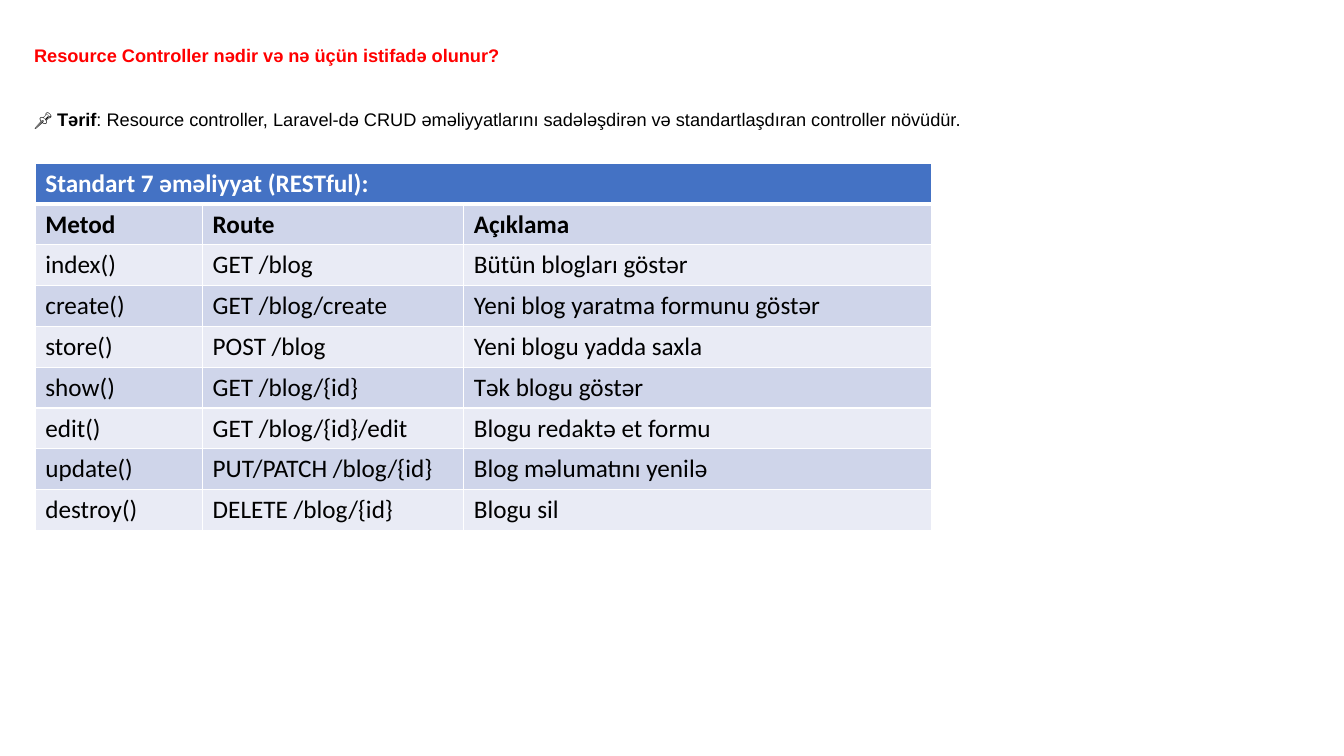
from lxml import etree
from pptx import Presentation
from pptx import util as u
from pptx.dml.color import RGBColor
from pptx.enum import text
from pptx.oxml import ns

RED = RGBColor(0xFF, 0x00, 0x00)
BLACK = RGBColor(0x00, 0x00, 0x00)
WHITE = RGBColor(0xFF, 0xFF, 0xFF)
BLUE = RGBColor(0x44, 0x72, 0xC4)
BAND_DARK = RGBColor(0xCF, 0xD5, 0xEA)
BAND_LIGHT = RGBColor(0xE9, 0xEB, 0xF5)

TITLE = "Resource Controller nədir və nə üçün istifadə olunur?"
DEFINITION = [
    ("📌 ", False),
    ("Tərif", True),
    (": Resource controller, Laravel-də CRUD əməliyyatlarını sadələşdirən "
     "və standartlaşdıran controller növüdür.", False),
]
COLUMNS = [1.66, 2.59, 4.64]
ROWS = [
    ("Standart 7 əməliyyat (RESTful):",),
    ("Metod", "Route", "Açıklama"),
    ("index()", "GET /blog", "Bütün blogları göstər"),
    ("create()", "GET /blog/create", "Yeni blog yaratma formunu göstər"),
    ("store()", "POST /blog", "Yeni blogu yadda saxla"),
    ("show()", "GET /blog/{id}", "Tək blogu göstər"),
    ("edit()", "GET /blog/{id}/edit", "Blogu redaktə et formu"),
    ("update()", "PUT/PATCH /blog/{id}", "Blog məlumatını yenilə"),
    ("destroy()", "DELETE /blog/{id}", "Blogu sil"),
]


def add_run(p, content, font, size, color, bold):
    """Append one formatted run to a paragraph."""
    r = p.add_run()
    r.text = content
    r.font.name, r.font.size, r.font.bold = font, u.Pt(size), bold
    r.font.color.rgb = color


def add_intro(s, left, top, width, height):
    """Place the red question and the definition below it."""
    sp = s.shapes.add_textbox(*map(u.Inches, (left, top, width, height)))
    tf = sp.text_frame
    tf.word_wrap = True
    p = tf.paragraphs[0]
    p.line_spacing = 1.5
    add_run(p, TITLE, "Arial", 13, RED, True)
    p = tf.add_paragraph()
    p.line_spacing = 1.5
    p.space_before = u.Pt(22.4)
    for content, bold in DEFINITION:
        add_run(p, content, "Arial", 13, BLACK, bold)


def set_borders(cell, top, bottom):
    """Give a cell white borders, with top and bottom widths in points."""
    tcPr = cell._tc.get_or_add_tcPr()
    for side, width in (("L", 1), ("R", 1), ("T", top), ("B", bottom)):
        ln = etree.SubElement(tcPr, ns.qn(f"a:ln{side}"), w=str(u.Pt(width)))
        fill = etree.SubElement(ln, ns.qn("a:solidFill"))
        etree.SubElement(fill, ns.qn("a:srgbClr"), val=str(WHITE))


def add_routes(s, left, top, row_height):
    """Place the table of controller methods under a merged header row."""
    frame = s.shapes.add_table(
        len(ROWS), len(COLUMNS), u.Inches(left), u.Inches(top),
        u.Inches(sum(COLUMNS)), u.Inches(row_height * len(ROWS)))
    table = frame.table
    for column, width in zip(table.columns, COLUMNS):
        column.width = u.Inches(width)
    table.cell(0, 0).merge(table.cell(0, len(COLUMNS) - 1))
    for i, values in enumerate(ROWS):
        table.rows[i].height = u.Inches(row_height)
        fill = BLUE if i == 0 else BAND_DARK if i % 2 else BAND_LIGHT
        for cell in table.rows[i].cells:
            set_borders(cell, 3 if i == 1 else 1, 3 if i == 0 else 1)
            cell.fill.solid()
            cell.fill.fore_color.rgb = fill
        for j, value in enumerate(values):
            cell = table.cell(i, j)
            if i > 1:
                cell.vertical_anchor = text.MSO_ANCHOR.MIDDLE
            add_run(cell.text_frame.paragraphs[0], value, "Calibri", 18,
                    BLACK if i else WHITE, i < 2)


def main():
    """Build the slide and save it."""
    prs = Presentation()
    prs.slide_width, prs.slide_height = u.Inches(13.33), u.Inches(7.5)
    s = prs.slides.add_slide(prs.slide_layouts[6])
    add_intro(s, 0.24, 0.28, 12.86, 1.04)
    add_routes(s, 0.35, 1.62, 0.405)
    prs.save("out.pptx")


if __name__ == "__main__":
    main()
